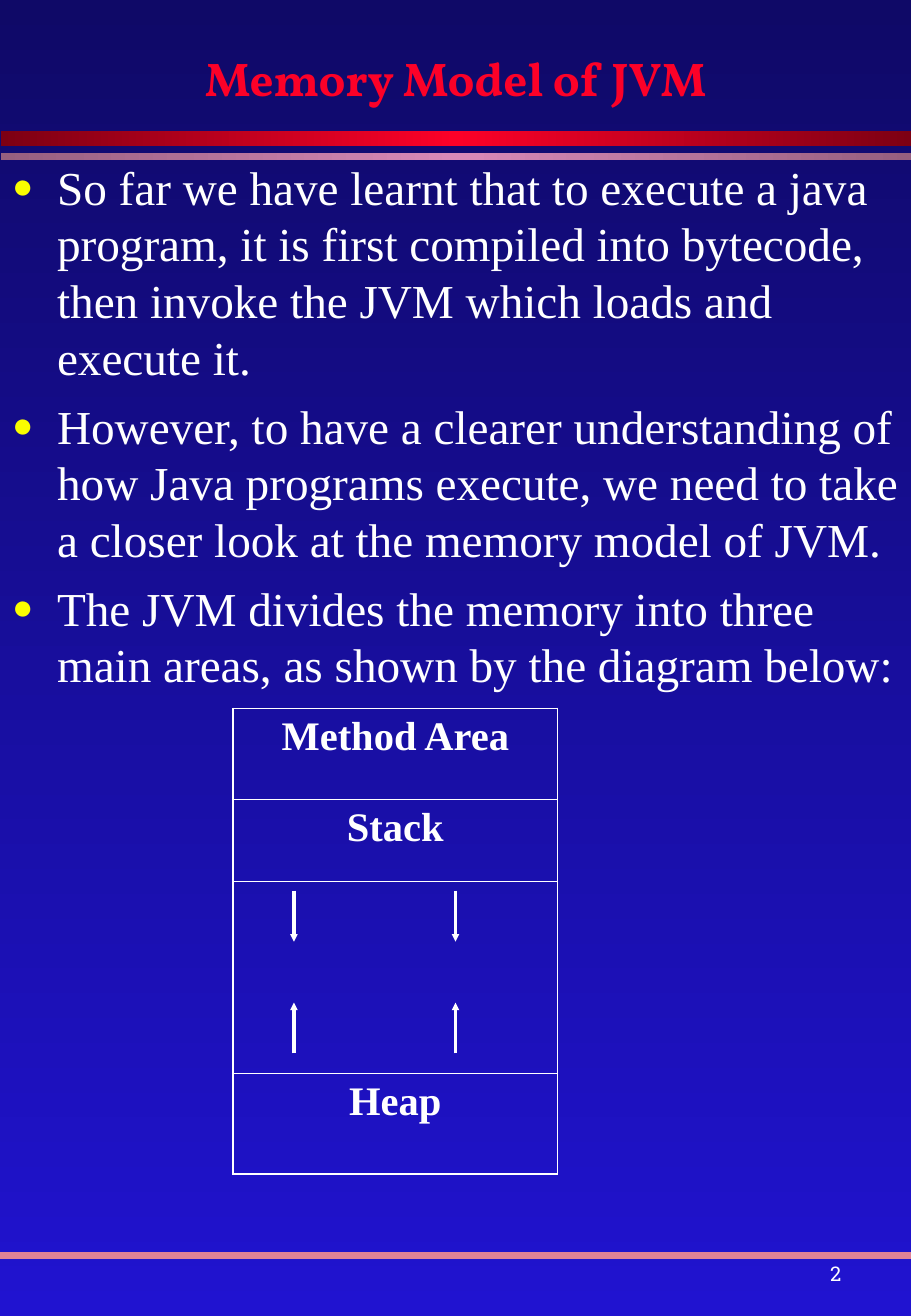
"""Build the slide that introduces the memory model of the JVM."""
from typing import NamedTuple

from lxml import etree
from pptx import Presentation
from pptx.dml.color import RGBColor
from pptx.enum.shapes import MSO_CONNECTOR, MSO_SHAPE
from pptx.enum.text import MSO_ANCHOR, MSO_AUTO_SIZE, PP_ALIGN
from pptx.oxml.ns import qn
from pptx.util import Inches, Pt

STRAIGHT = MSO_CONNECTOR.STRAIGHT
RECTANGLE = MSO_SHAPE.RECTANGLE
TOP, BOTTOM = MSO_ANCHOR.TOP, MSO_ANCHOR.BOTTOM
NO_AUTOFIT = MSO_AUTO_SIZE.NONE
LEFT, CENTER = PP_ALIGN.LEFT, PP_ALIGN.CENTER

WHITE, RED, YELLOW = "FFFFFF", "FC0128", "FAFD00"
SLIDE_WIDTH, SLIDE_HEIGHT = 7.5, 10.83
BULLET_INDENT = 0.37

TITLE_FORMAT = {"name": "Vollkorn", "size": Pt(28), "bold": True}
BODY_FORMAT = {"name": "Times New Roman", "size": Pt(28), "bold": False}
AREA_FORMAT = {"name": "Times New Roman", "size": Pt(24), "bold": True}
NUMBER_FORMAT = {"name": "Roboto Slab", "size": Pt(12), "bold": False}

POINTS = [
    "So far we have learnt that to execute a java program, it is first compiled "
    "into bytecode, then invoke the JVM which loads and execute it.",
    "However, to have a clearer understanding of how Java programs execute, "
    "we need to take a closer look at the memory model of JVM.",
    "The JVM divides the memory into three main areas, as shown by the diagram below:",
]


class Bar(NamedTuple):
    """A horizontal gradient bar below the title."""
    top: float
    height: float
    edge: str
    middle: str


class MemoryArea(NamedTuple):
    """One row of the memory diagram."""
    label: str
    height: float
    top_width: float
    bottom_width: float


class Stroke(NamedTuple):
    """A straight line, with or without an arrowhead at its end."""
    start: tuple[float, float]
    end: tuple[float, float]
    color: str
    width: float
    arrow: bool


BARS = [Bar(1.08, 0.12, "7D0013", RED), Bar(1.26, 0.06, "965F7F", "D989B8")]
THIN, THICK = 0.45, 1.08
AREAS = [
    MemoryArea("Method Area", 0.75, THICK, THIN),
    MemoryArea("Stack", 0.67, THIN, THIN),
    MemoryArea("", 1.58, THIN, THIN),
    MemoryArea("Heap", 0.83, THIN, THICK),
]
FOOTER_RULE = Stroke((0, 10.33), (SLIDE_WIDTH, 10.33), "E18295", 4, False)
GROWTH_ARROWS = [
    Stroke((x, start), (x, end), WHITE, 2.25, True)
    for start, end in ((7.33, 7.75), (8.67, 8.25))
    for x in (2.42, 3.75)
]


def rgb(color: str) -> RGBColor:
    """Turn a hex string into a colour."""
    return RGBColor.from_string(color)


def add_child(parent, tag: str, **attributes: str):
    """Append a DrawingML element and return it."""
    return etree.SubElement(parent, qn(tag), attributes)


def set_gradient(fill, owner, angle: int, colors: list[str]) -> None:
    """Fill with evenly spaced colour stops."""
    fill.gradient()
    gradient = owner.find(".//" + qn("a:gradFill"))
    stops = gradient.find(qn("a:gsLst"))
    for stop in list(stops):
        stops.remove(stop)
    for index, color in enumerate(colors):
        position = 100000 * index // (len(colors) - 1)
        stop = add_child(stops, "a:gs", pos=str(position))
        add_child(stop, "a:srgbClr", val=color)
    gradient.find(qn("a:lin")).set("ang", str(angle * 60000))


def format_paragraph(paragraph, text: str, font_format: dict, color: str, align) -> None:
    """Write one run of formatted text."""
    paragraph.alignment = align
    run = paragraph.add_run()
    run.text = text
    for attribute, value in font_format.items():
        setattr(run.font, attribute, value)
    run.font.color.rgb = rgb(color)


def set_frame(shape, box: tuple[float, float, float, float], anchor) -> None:
    """Place a text shape and set how its text sits."""
    shape.left, shape.top, shape.width, shape.height = map(Inches, box)
    frame = shape.text_frame
    frame.word_wrap = True
    frame.auto_size = NO_AUTOFIT
    frame.vertical_anchor = anchor


def add_bullet(paragraph) -> None:
    """Give a paragraph a hanging yellow bullet."""
    properties = paragraph._p.get_or_add_pPr()
    properties.set("marL", str(Inches(BULLET_INDENT)))
    properties.set("indent", str(Inches(-BULLET_INDENT)))
    add_child(add_child(properties, "a:buClr"), "a:srgbClr", val=YELLOW)
    add_child(properties, "a:buSzPct", val="75000")
    add_child(properties, "a:buFont", typeface="Times New Roman")
    add_child(properties, "a:buChar", char="●")


def add_bar(slide, bar: Bar) -> None:
    """Draw one gradient bar."""
    shape = slide.shapes.add_shape(
        RECTANGLE, Inches(0.01), Inches(bar.top), Inches(7.49), Inches(bar.height))
    shape.shadow.inherit = False
    shape.line.fill.background()
    set_gradient(shape.fill, shape._element, 0, [bar.edge, bar.middle, bar.edge])


def add_stroke(slide, stroke: Stroke) -> None:
    """Draw one line or arrow."""
    connector = slide.shapes.add_connector(
        STRAIGHT, *map(Inches, stroke.start + stroke.end))
    connector.line.color.rgb = rgb(stroke.color)
    connector.line.width = Pt(stroke.width)
    if stroke.arrow:
        add_child(connector.line._get_or_add_ln(), "a:tailEnd",
                  type="triangle", w="sm", len="sm")
    add_child(connector._element.spPr, "a:effectLst")


def add_memory_table(slide, areas: list[MemoryArea]) -> None:
    """Draw the memory areas as a one-column table."""
    total = sum(area.height for area in areas)
    table = slide.shapes.add_table(
        len(areas), 1, Inches(1.92), Inches(5.83), Inches(2.67), Inches(total)).table
    table.first_row = table.horz_banding = False
    for index, area in enumerate(areas):
        table.rows[index].height = Inches(area.height)
        cell = table.cell(index, 0)
        cell.vertical_anchor = TOP
        borders = {"a:lnL": THICK, "a:lnR": THICK,
                   "a:lnT": area.top_width, "a:lnB": area.bottom_width}
        for tag, width in borders.items():
            border = add_child(cell._tc.get_or_add_tcPr(), tag, w=str(Pt(width)))
            add_child(add_child(border, "a:solidFill"), "a:srgbClr", val=WHITE)
        cell.fill.background()
        if area.label:
            format_paragraph(cell.text_frame.paragraphs[0], area.label,
                             AREA_FORMAT, WHITE, CENTER)


def main() -> None:
    """Build and save the presentation."""
    presentation = Presentation()
    presentation.slide_width = Inches(SLIDE_WIDTH)
    presentation.slide_height = Inches(SLIDE_HEIGHT)
    slide = presentation.slides.add_slide(presentation.slide_layouts[1])
    set_gradient(slide.background.fill, slide._element, 90, ["0F0967", "2013D0"])

    heading = slide.shapes.title
    set_frame(heading, (0, 0, SLIDE_WIDTH, 0.92), BOTTOM)
    format_paragraph(heading.text_frame.paragraphs[0], "Memory Model of JVM",
                     TITLE_FORMAT, RED, CENTER)

    explanation = slide.placeholders[1]
    set_frame(explanation, (0, 1.25, SLIDE_WIDTH, 9), TOP)
    frame = explanation.text_frame
    frame.margin_right = Inches(0.08)
    for index, point in enumerate(POINTS):
        paragraph = frame.add_paragraph() if index else frame.paragraphs[0]
        add_bullet(paragraph)
        paragraph.space_before = Pt(7 if index else 0)
        format_paragraph(paragraph, point, BODY_FORMAT, WHITE, LEFT)

    for bar in BARS:
        add_bar(slide, bar)
    add_memory_table(slide, AREAS)
    for stroke in [FOOTER_RULE, *GROWTH_ARROWS]:
        add_stroke(slide, stroke)

    page_number = slide.shapes.add_textbox(0, 0, 0, 0)
    set_frame(page_number, (6.6, 10.33, 0.56, 0.3), TOP)
    format_paragraph(page_number.text_frame.paragraphs[0], "2",
                     NUMBER_FORMAT, WHITE, CENTER)
    presentation.save("out.pptx")


if __name__ == "__main__":
    main()
